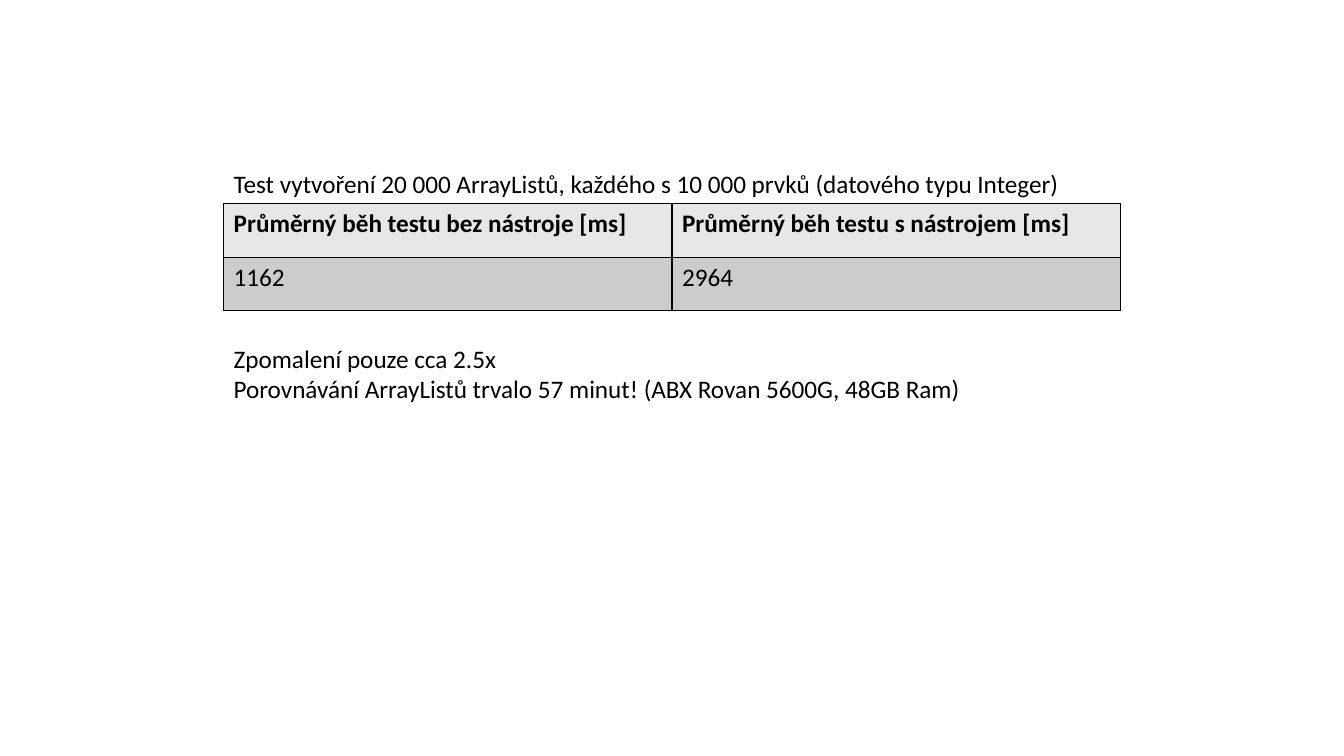
from lxml.etree import SubElement
from pptx import Presentation
from pptx.dml.color import RGBColor
from pptx.enum.text import MSO_AUTO_SIZE as Fit
from pptx.oxml.ns import qn
from pptx.util import Pt

PX = 9525
BLACK = RGBColor(0, 0, 0)
LIGHT = RGBColor(0xE7, 0xE7, 0xE7)
GREY = RGBColor(0xCC, 0xCC, 0xCC)
FONT = {"name": "Calibri", "size": Pt(18)}

LEFT, WIDTH = 213, 854
ROW = 51
HEAD = ["Průměrný běh testu bez nástroje [ms]", "Průměrný běh testu s nástrojem [ms]"]
TIMES = ["1162", "2964"]
INTRO = ["Test vytvoření 20 000 ArrayListů, každého s 10 000 prvků (datového typu Integer)"]
NOTES = [
    "Zpomalení pouze cca 2.5x",
    "Porovnávání ArrayListů trvalo 57 minut! (ABX Rovan 5600G, 48GB Ram)",
]


def px(*sizes):
    return [size * PX for size in sizes]


def write(frame, lines, bold=False):
    for i, line in enumerate(lines):
        para = frame.add_paragraph() if i else frame.paragraphs[0]
        run = para.add_run()
        run.text = line
        for key, value in FONT.items():
            setattr(run.font, key, value)
        run.font.bold = bold
        run.font.color.rgb = BLACK


def add_text(slide, top, height, lines):
    frame = slide.shapes.add_textbox(*px(LEFT, top, WIDTH, height)).text_frame
    frame.word_wrap = True
    frame.auto_size = Fit.SHAPE_TO_FIT_TEXT
    write(frame, lines)


def add_edges(cell):
    """Draw a thin black border on all four sides of a cell."""
    props = cell._tc.get_or_add_tcPr()
    for i, side in enumerate("LRTB"):
        edge = props.makeelement(qn(f"a:ln{side}"), {"w": str(Pt(1))})
        fill = SubElement(edge, qn("a:solidFill"))
        SubElement(fill, qn("a:srgbClr"), val=str(BLACK))
        props.insert(i, edge)


def add_grid(slide, top, rows):
    size = px(LEFT, top, WIDTH, ROW * len(rows))
    table = slide.shapes.add_table(len(rows), len(rows[0]), *size).table
    for r, texts in enumerate(rows):
        table.rows[r].height = ROW * PX
        for c, text in enumerate(texts):
            cell = table.cell(r, c)
            cell.fill.solid()
            cell.fill.fore_color.rgb = GREY if r else LIGHT
            write(cell.text_frame, [text], bold=r == 0)
            add_edges(cell)


def main():
    deck = Presentation()
    deck.slide_width, deck.slide_height = px(1280, 720)
    slide = deck.slides.add_slide(deck.slide_layouts[6])
    add_grid(slide, 194, [HEAD, TIMES])
    add_text(slide, 156, 38, INTRO)
    add_text(slide, 322, 68, NOTES)
    deck.save("out.pptx")


if __name__ == "__main__":
    main()
